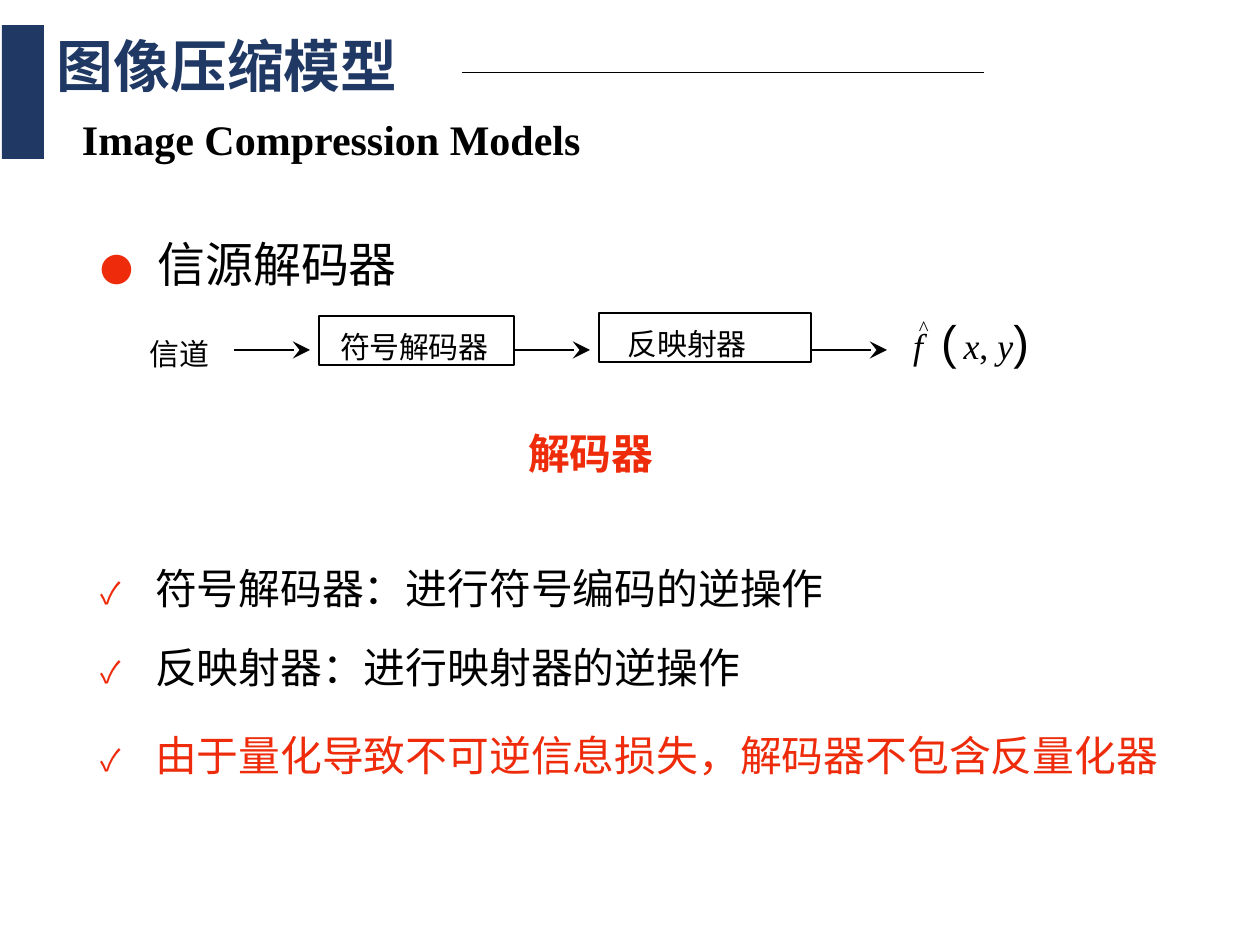
from pptx import Presentation
from pptx import util as u
from pptx.dml.color import RGBColor
from pptx.enum import shapes, text
from pptx.oxml.ns import qn
from lxml import etree

PX = 914400 / 126
BLACK = RGBColor(0x00, 0x00, 0x00)
RED = RGBColor(0xEE, 0x2B, 0x0A)
NAVY = RGBColor(0x20, 0x38, 0x64)
HAN = "Noto Sans CJK SC"
SANS = "Arial"
SERIF = "Times New Roman"


def px(*sizes):
    """Turn pixel lengths into EMU."""
    return [u.Emu(round(size * PX)) for size in sizes]


def style(run, size, font, color=BLACK, bold=False, slant=False, track=0):
    """Format one run; track is the letter spacing in points."""
    run.font.size = u.Pt(size)
    run.font.name = font
    run.font.color.rgb = color
    run.font.bold = bold
    run.font.italic = slant
    if track:
        run.font._element.set("spc", str(round(track * 100)))


def write(par, *parts):
    """Fill a paragraph with (text, size, font, ...) runs."""
    for words, *look in parts:
        run = par.add_run()
        run.text = words
        style(run, *look)


def set_tab(par, stop):
    """Give a paragraph one left tab stop."""
    tabs = etree.SubElement(par._p.get_or_add_pPr(), qn("a:tabLst"))
    etree.SubElement(tabs, qn("a:tab"), pos=str(px(stop)[0]), algn="l")


def set_frame(frame, left=0, top=0, right=0, bottom=0):
    """Set the insets of a text frame in pixels and wrap it."""
    frame.word_wrap = True
    frame.auto_size = text.MSO_AUTO_SIZE.NONE
    frame.vertical_anchor = text.MSO_ANCHOR.TOP
    (frame.margin_left, frame.margin_top,
     frame.margin_right, frame.margin_bottom) = px(left, top, right, bottom)


def add_text(slide, box, *parts):
    """Add a text box and return its first paragraph."""
    frame = slide.shapes.add_textbox(*px(*box)).text_frame
    set_frame(frame)
    par = frame.paragraphs[0]
    write(par, *parts)
    return par


def add_rect(slide, box):
    """Add a rectangle without fill, line or shadow."""
    rect = slide.shapes.add_shape(shapes.MSO_SHAPE.RECTANGLE, *px(*box))
    rect.shadow.inherit = False
    rect.fill.background()
    rect.line.fill.background()
    return rect


def add_stage(slide, box, label, indent):
    """Add an outlined stage of the decoder."""
    rect = add_rect(slide, box)
    rect.line.color.rgb = BLACK
    rect.line.width = u.Pt(1.5)
    set_frame(rect.text_frame, left=indent, top=13)
    par = rect.text_frame.paragraphs[0]
    par.alignment = text.PP_ALIGN.LEFT
    write(par, (label, 17.1, HAN, BLACK, False, False, -0.1))


def add_line(slide, left, right, y, width, arrow=False):
    """Add a level line, with an arrowhead at its right if asked."""
    line = slide.shapes.add_connector(
        shapes.MSO_CONNECTOR.STRAIGHT, *px(left, y, right, y))
    line.line.color.rgb = BLACK
    line.line.width = u.Pt(width)
    props = line._element.spPr
    if arrow:
        etree.SubElement(props.find(qn("a:ln")), qn("a:tailEnd"),
                         type="stealth", w="lg", len="lg")
    etree.SubElement(props, qn("a:effectLst"))


def add_head(slide):
    """Place the title, its bar and rule, and the English subtitle."""
    title = slide.shapes.title
    title.left, title.top, title.width, title.height = px(44, 14, 377, 110)
    title.text_frame.text = "图像压缩模型"
    set_frame(title.text_frame, 13, 6, 13, 6)
    title.text_frame.vertical_anchor = text.MSO_ANCHOR.MIDDLE
    par = title.text_frame.paragraphs[0]
    par.alignment = text.PP_ALIGN.LEFT
    par.line_spacing = 0.9
    style(par.runs[0], 32.4, HAN, NAVY, True)

    add_line(slide, 462, 984, 72, 0.5)
    bar = add_rect(slide, (2, 25, 42, 134))
    bar.fill.solid()
    bar.fill.fore_color.rgb = NAVY

    sub = slide.shapes.add_textbox(*px(69, 86, 1026, 112)).text_frame
    set_frame(sub, 13, 6, 13, 6)
    sub.vertical_anchor = text.MSO_ANCHOR.MIDDLE
    sub.paragraphs[0].line_spacing = 0.9
    write(sub.paragraphs[0],
          ("Image Compression Models", 24, SERIF, BLACK, True))


def add_flow(slide):
    """Draw the chain from the channel to the restored function."""
    par = add_text(slide, (150, 330, 63, 42), ("信道", 17.1, HAN))
    par.line_spacing = u.Pt(23.8)
    add_stage(slide, (319, 316, 195, 49), "符号解码器", 21)
    add_stage(slide, (599, 313, 212, 49), "反映射器", 29)
    for left in (234, 514, 811):
        add_line(slide, left, left + 76, 350, 1.25, arrow=True)
    add_text(slide, (913, 312, 135, 57),
             ("f ", 20.5, SERIF, BLACK, False, True, 2.6),
             ("( ", 26.9, SANS, BLACK, False, False, -3.6),
             ("x", 20.5, SERIF, BLACK, False, True, -1.9),
             (", ", 20.5, SERIF),
             ("y", 20.5, SERIF, BLACK, False, True, -0.7),
             (")", 26.9, SANS, BLACK, False, False, -4.2))
    add_text(slide, (919, 315, 13, 25), ("^", 11.9, SERIF))


def add_notes(slide):
    """Write the caption of the chain and the ticked remarks."""
    cap = add_text(slide, (100, 428, 1062, 348),
                   ("解码器", 23.9, HAN, RED, True, False, -0.1))
    cap._p.get_or_add_pPr().set("marL", str(px(428)[0]))
    frame = cap._parent
    rows = (("符号解码器：进行符号编码的逆操作", BLACK, 48),
            ("反映射器：进行映射器的逆操作", BLACK, 16.9),
            ("由于量化导致不可逆信息损失，解码器不包含反量化器", RED, 16.9))
    for words, color, gap in rows:
        par = frame.add_paragraph()
        set_tab(par, 55)
        par.space_before = u.Pt(gap)
        write(par, ("✓\t", 17.1, SANS, RED), (words, 23.9, HAN, color))
    par.line_spacing = u.Pt(33)


def main():
    """Build the slide and save it."""
    deck = Presentation()
    deck.slide_width, deck.slide_height = px(1260, 945)
    slide = deck.slides.add_slide(deck.slide_layouts[5])
    add_head(slide)
    topic = add_text(slide, (100, 226, 450, 67))
    set_tab(topic, 58)
    topic.line_spacing = u.Pt(37.5)
    write(topic, ("●\t", 18.8, SANS, RED),
          ("信源解码器", 27.4, HAN, BLACK, False, False, -0.1))
    add_flow(slide)
    add_notes(slide)
    deck.save("out.pptx")


if __name__ == "__main__":
    main()
